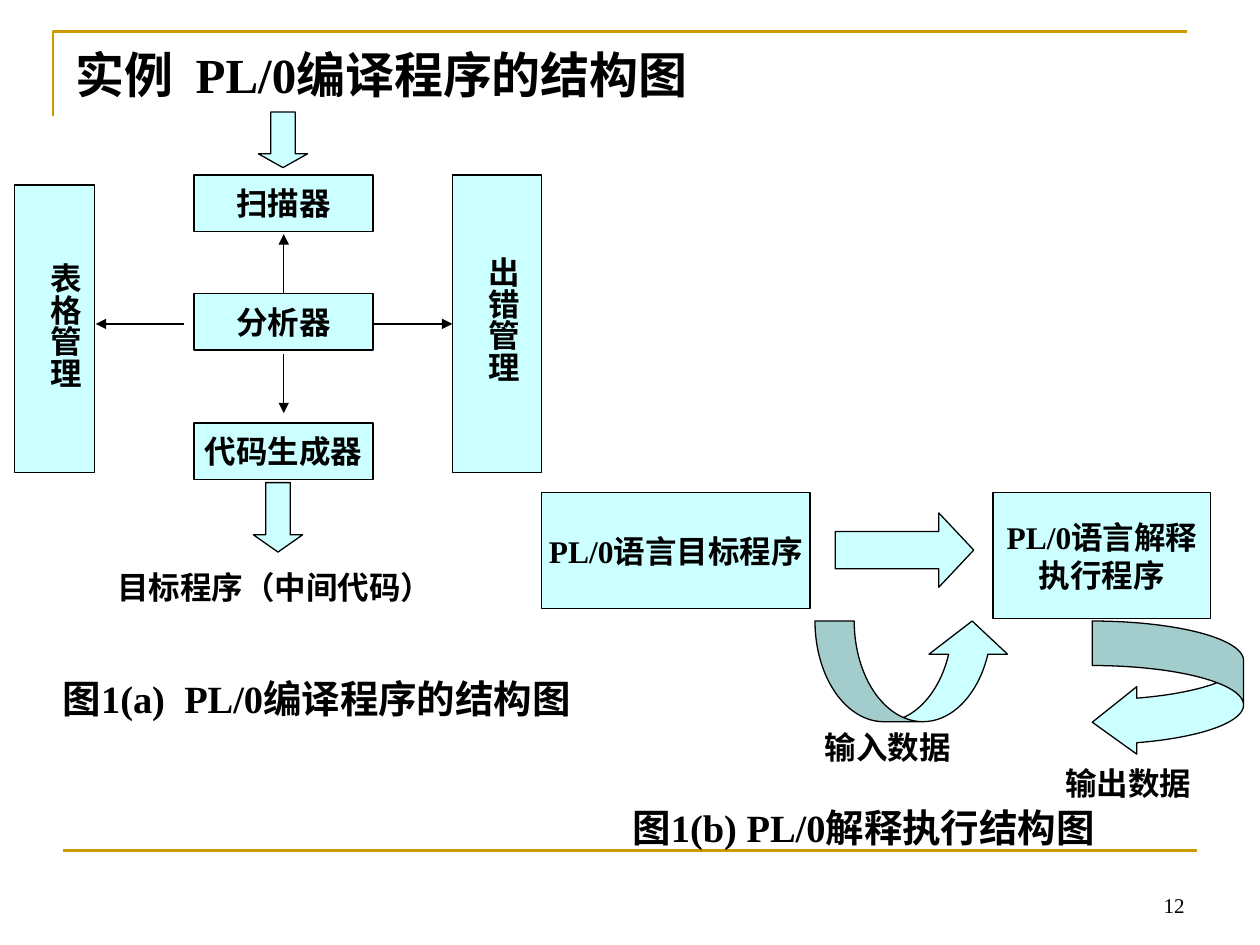
from pptx import Presentation
from pptx.dml.color import RGBColor
from pptx.enum.shapes import MSO_CONNECTOR, MSO_SHAPE
from pptx.enum.text import MSO_ANCHOR, PP_ALIGN
from pptx.oxml.ns import qn
from pptx.util import Cm, Pt
from lxml import etree

RECT = MSO_SHAPE.RECTANGLE
DOWN, RIGHT = MSO_SHAPE.DOWN_ARROW, MSO_SHAPE.RIGHT_ARROW
CURVED_LEFT, CURVED_UP = MSO_SHAPE.CURVED_LEFT_ARROW, MSO_SHAPE.CURVED_UP_ARROW
STRAIGHT = MSO_CONNECTOR.STRAIGHT
TOP, MIDDLE, BOTTOM = MSO_ANCHOR.TOP, MSO_ANCHOR.MIDDLE, MSO_ANCHOR.BOTTOM
LEFT, CENTER, ALIGN_RIGHT = PP_ALIGN.LEFT, PP_ALIGN.CENTER, PP_ALIGN.RIGHT
FONT = "Times New Roman"
BLACK, PALE, GOLD = "000000", "CCFFFF", "CC9900"


def color(value):
    return RGBColor.from_string(value)


def write(frame, text, size=18, bold=True, align=LEFT, anchor=TOP, wrap=False):
    frame.word_wrap = wrap
    frame.vertical_anchor = anchor
    frame.text = text
    for paragraph in frame.paragraphs:
        paragraph.alignment = align
        for run in paragraph.runs:
            run.font.name = FONT
            run.font.size = Pt(size)
            run.font.bold = bold
            run.font.color.rgb = color(BLACK)


prs = Presentation()
prs.slide_width, prs.slide_height = Cm(25.4), Cm(19.05)
slide = prs.slides.add_slide(prs.slide_layouts[5])
shapes = slide.shapes

title = shapes.title
title.left, title.top, title.width, title.height = Cm(1.27), Cm(0.76), Cm(22.86), Cm(1.75)
write(title.text_frame, "实例  PL/0编译程序的结构图", size=28, wrap=True)

outline = shapes.build_freeform(Cm(1.07), Cm(2.34))
outline.add_line_segments([(Cm(1.07), Cm(0.64)), (Cm(23.93), Cm(0.64))], close=False)
corner = outline.convert_to_shape()
corner.shadow.inherit = False
corner.fill.background()
corner.line.color.rgb = color(GOLD)
corner.line.width = Pt(1.5)

blocks = [
    (RECT, 3.91, 3.53, 3.61, 1.14, [], "扫描器"),
    (RECT, 3.91, 5.92, 3.61, 1.14, [], "分析器"),
    (RECT, 3.91, 8.53, 3.61, 1.14, [], "代码生成器"),
    (RECT, 0.3, 3.73, 1.6, 5.79, [], ""),
    (RECT, 9.12, 3.53, 1.8, 5.99, [], ""),
    (RECT, 10.92, 9.93, 5.41, 2.34, [], "PL/0语言目标程序"),
    (RECT, 20.02, 9.93, 4.39, 2.54, [], "PL/0语言解释\n执行程序"),
    (DOWN, 5.21, 2.26, 0.99, 1.12, [0.5, 0.28], ""),
    (DOWN, 5.11, 9.73, 0.99, 1.4, [0.5, 0.35], ""),
    (RIGHT, 16.84, 10.34, 2.79, 1.5, [0.5, 0.47], ""),
    (CURVED_LEFT, 22.02, 12.52, 3.05, 2.72, [0.33, 0.66, 0.33], ""),
    (CURVED_UP, 16.43, 12.52, 3.96, 2.03, [0.39, 0.78, 0.33], ""),
]
for kind, left, top, width, height, adjustments, label in blocks:
    block = shapes.add_shape(kind, Cm(left), Cm(top), Cm(width), Cm(height))
    block.shadow.inherit = False
    block.fill.solid()
    block.fill.fore_color.rgb = color(PALE)
    block.line.color.rgb = color(BLACK)
    block.line.width = Pt(0.75)
    for index, adjustment in enumerate(adjustments):
        block.adjustments[index] = adjustment
    if label:
        write(block.text_frame, label, align=CENTER, anchor=MIDDLE)

links = [
    (3.71, 6.53, 1.93, 6.53, BLACK, 0.75, True),
    (7.52, 6.53, 9.12, 6.53, BLACK, 0.75, True),
    (5.72, 7.14, 5.72, 8.33, BLACK, 0.75, True),
    (5.72, 5.92, 5.72, 4.72, BLACK, 0.75, True),
    (1.27, 17.15, 24.13, 17.15, GOLD, 1.5, False),
]
for x1, y1, x2, y2, stroke, weight, arrow in links:
    link = shapes.add_connector(STRAIGHT, Cm(x1), Cm(y1), Cm(x2), Cm(y2))
    link.line.color.rgb = color(stroke)
    link.line.width = Pt(weight)
    if arrow:
        etree.SubElement(link.line._get_or_add_ln(), qn("a:tailEnd"), type="triangle")
    etree.SubElement(link._element.spPr, qn("a:effectLst"))

managers = [
    (0.51, 5.05, 1.3, 3.73, "表格管理"),
    (9.37, 4.93, 1.27, 3.99, "出错管理"),
]
for left, top, width, height, label in managers:
    manager = shapes.add_textbox(Cm(left), Cm(top), Cm(width), Cm(height))
    manager.line.color.rgb = color(PALE)
    manager.line.width = Pt(0.75)
    write(manager.text_frame, label, wrap=True)
    manager.text_frame._txBody.bodyPr.set("vert", "eaVert")

data_labels = [
    (2.11, 11.33, 6.91, "目标程序（中间代码）"),
    (16.38, 14.55, 3.07, "输入数据"),
    (21.23, 15.27, 3.07, "输出数据"),
]
for left, top, width, label in data_labels:
    data_label = shapes.add_textbox(Cm(left), Cm(top), Cm(width), Cm(1.02))
    write(data_label.text_frame, label)

captions = [
    (0.58, 13.49, 11.61, "图1(a)  PL/0编译程序的结构图", CENTER),
    (12.5, 16.08, 11, "图1(b) PL/0解释执行结构图", LEFT),
]
for left, top, width, text, align in captions:
    caption = shapes.add_textbox(Cm(left), Cm(top), Cm(width), Cm(1.19))
    write(caption.text_frame, text, size=22, align=align, wrap=True)

page_number = shapes.add_textbox(Cm(18.21), Cm(17.35), Cm(5.92), Cm(1.27))
write(page_number.text_frame, "12", size=12, bold=False, align=ALIGN_RIGHT, anchor=BOTTOM, wrap=True)

prs.save("out.pptx")
